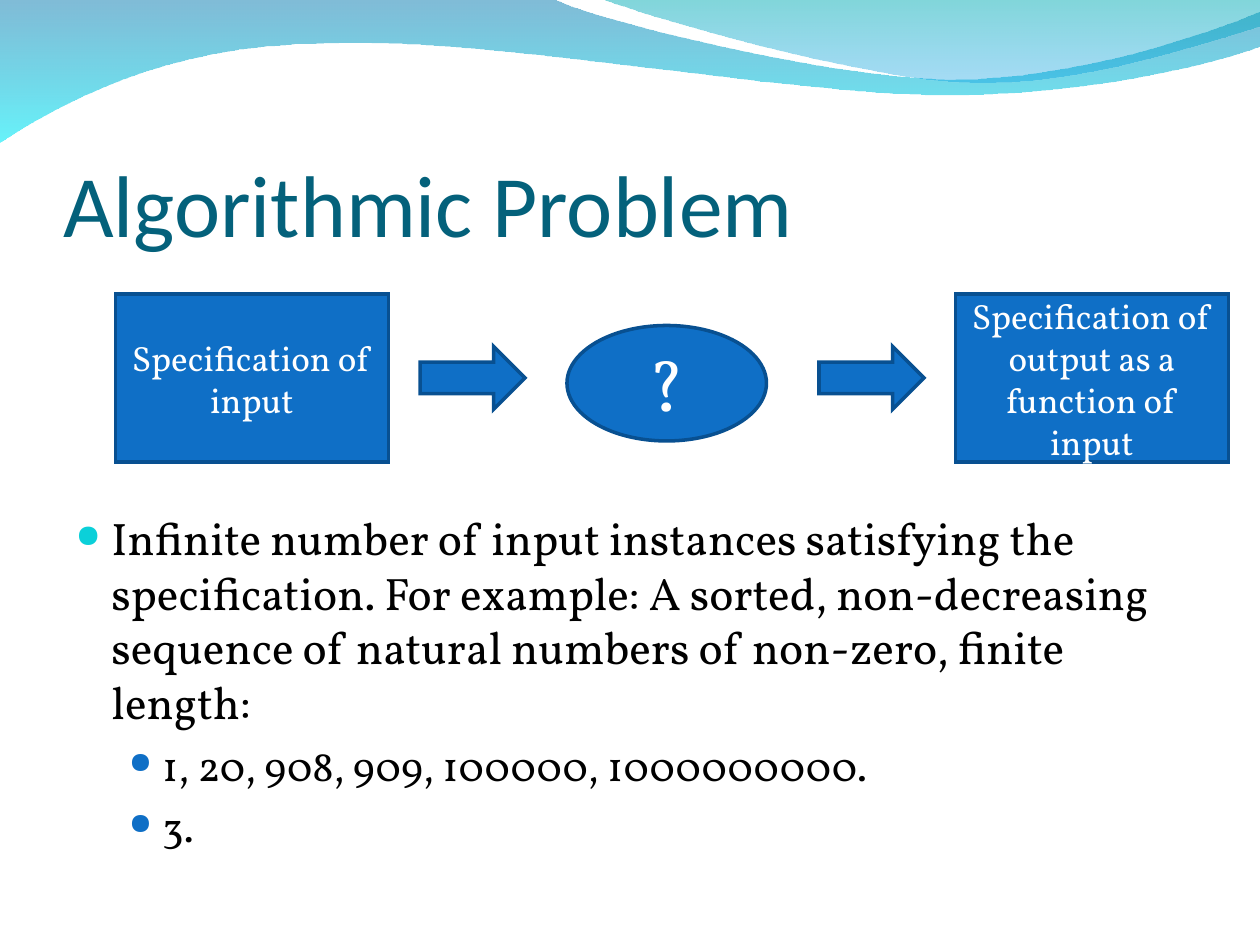
from lxml import etree
from pptx import Presentation
from pptx.dml.color import RGBColor
from pptx.enum.shapes import MSO_SHAPE
from pptx.enum.text import MSO_ANCHOR, MSO_AUTO_SIZE, PP_ALIGN
from pptx.oxml.ns import qn
from pptx.util import Pt

RECTANGLE, ARROW, OVAL = MSO_SHAPE.RECTANGLE, MSO_SHAPE.RIGHT_ARROW, MSO_SHAPE.OVAL
TOP, MIDDLE, BOTTOM = MSO_ANCHOR.TOP, MSO_ANCHOR.MIDDLE, MSO_ANCHOR.BOTTOM
LEFT, CENTER = PP_ALIGN.LEFT, PP_ALIGN.CENTER
HEADING_FONT, BODY_FONT = "Calibri", "Vollkorn"
BLUE, DARK_BLUE = "0F6FC6", "085091"

# Content
TITLE = "Algorithmic Problem"
BULLETS = [  # level, text
    (0, "Infinite number of input instances satisfying the specification. "
        "For example: A sorted, non-decreasing sequence of natural numbers "
        "of non-zero, finite length:"),
    (1, "1, 20, 908, 909, 100000, 1000000000."),
    (1, "3."),
]
LEVELS = [  # size, bullet colour, left margin, hanging indent, space before
    (26, "0BD0D9", 20.5, 20.5, 0),
    (24, BLUE, 49.5, 19, 6),
]
FLOW = [  # preset, left, width, height, centre line, text, text size
    (RECTANGLE, 66, 156, 96, 216, "Specification of input", 20),
    (ARROW, 240, 60, 36, 216, "", 20),
    (OVAL, 324, 114, 66, 219, "?", 40),
    (ARROW, 468, 60, 36, 216, "", 20),
    (RECTANGLE, 546, 156, 96, 216,
     "Specification of output as a function of input", 20),
]
# Header waves: a point is a straight line, three points are a Bezier curve
WAVES = [  # start, segments, gradient stops (colour, opacity in percent)
    ((0, -0.5),
     [[(317, -0.5)],
      [(343, 12), (478, 45), (546, 45)],
      [(614, 45), (690, 19), (720, 6.5)],
      [(720.5, 26)],
      [(708, 32), (626, 55), (537, 54)],
      [(448, 54), (275, 20), (185, 24.5)],
      [(93, 25), (33, 60), (-0.5, 81.5)]],
     [("0079AF", 50), ("00EBF8", 60)]),
    ((345, -0.5),
     [[(366, 8), (491, 45), (554, 47)],
      [(616, 50), (692, 23), (720, 15)],
      [(720, -0.5)]],
     [("00ADB6", 50), ("009BE5", 35)]),
]
UNITS_PER_POINT = 100


def color(value):
    return RGBColor.from_string(value)


def place(shape, left, top, width, height):
    shape.left, shape.top = Pt(left), Pt(top)
    shape.width, shape.height = Pt(width), Pt(height)


def format_frame(text_frame, anchor, side_inset):
    text_frame.word_wrap = True
    text_frame.auto_size = MSO_AUTO_SIZE.NONE
    text_frame.vertical_anchor = anchor
    text_frame.margin_left = text_frame.margin_right = Pt(side_inset)
    text_frame.margin_top = text_frame.margin_bottom = Pt(3.6)


def format_paragraph(paragraph, name, size, font_color, alignment, before=0):
    paragraph.alignment = alignment
    paragraph.space_before = Pt(before)
    for run in paragraph.runs:
        run.font.name, run.font.size = name, Pt(size)
        run.font.color.rgb = color(font_color)


def add_bullet(paragraph, bullet_color, margin, hanging):
    properties = paragraph._p.get_or_add_pPr()
    properties.set("marL", str(Pt(margin)))
    properties.set("indent", str(-Pt(hanging)))
    bullet_fill = etree.SubElement(properties, qn("a:buClr"))
    etree.SubElement(bullet_fill, qn("a:srgbClr"), val=bullet_color)
    etree.SubElement(properties, qn("a:buSzPct"), val="70000")
    etree.SubElement(properties, qn("a:buFont"), typeface="OpenSymbol")
    etree.SubElement(properties, qn("a:buChar"), char="●")


def bend_segments(shape, segments):
    """Join the three lines of each curved segment into one Bezier curve."""
    lines = iter(list(shape._element.spPr.iter(qn("a:lnTo"))))
    for segment in segments:
        group = [next(lines) for _ in segment]
        if len(group) == 3:
            curve = etree.Element(qn("a:cubicBezTo"))
            group[0].addprevious(curve)
            for line in group:
                curve.append(line[0])
                line.getparent().remove(line)


def add_wave(slide, start, segments, stops):
    points = [(x * UNITS_PER_POINT, y * UNITS_PER_POINT)
              for segment in [[start], *segments] for x, y in segment]
    builder = slide.shapes.build_freeform(*points[0], scale=Pt(1) / UNITS_PER_POINT)
    builder.add_line_segments(points[1:], close=True)
    wave = builder.convert_to_shape()
    bend_segments(wave, segments)
    wave.shadow.inherit = False
    wave.line.fill.background()
    wave.fill.gradient()
    wave.fill.gradient_angle = 270
    for stop, (stop_color, _) in zip(wave.fill.gradient_stops, stops):
        stop.color.rgb = color(stop_color)
    for element, (_, opacity) in zip(wave._element.spPr.iter(qn("a:srgbClr")), stops):
        etree.SubElement(element, qn("a:alpha"), val=str(opacity * 1000))
    return wave


presentation = Presentation()
presentation.slide_width, presentation.slide_height = Pt(720), Pt(540)
slide = presentation.slides.add_slide(presentation.slide_layouts[1])
title, body = slide.shapes.title, slide.placeholders[1]

# Header waves, behind the placeholders
for position, wave_data in enumerate(WAVES):
    wave = add_wave(slide, *wave_data)
    slide.shapes._spTree.insert(2 + position, wave._element)

# Title
place(title, 36, 55.5, 648, 90)
format_frame(title.text_frame, BOTTOM, 0)
title.text_frame.margin_bottom = 0
title.text_frame.text = TITLE
format_paragraph(title.text_frame.paragraphs[0], HEADING_FONT, 50, "04617B", LEFT)

# Bullet list
place(body, 36, 288, 648, 210)
format_frame(body.text_frame, TOP, 7.2)
body.text_frame.text = "\n".join(text for _, text in BULLETS)
for paragraph, (level, _) in zip(body.text_frame.paragraphs, BULLETS):
    size, bullet_color, margin, hanging, before = LEVELS[level]
    paragraph.level = level
    add_bullet(paragraph, bullet_color, margin, hanging)
    format_paragraph(paragraph, BODY_FONT, size, "000000", LEFT, before)

# Flow from input to output
for preset, left, width, height, middle, text, size in FLOW:
    shape = slide.shapes.add_shape(
        preset, Pt(left), Pt(middle - height / 2), Pt(width), Pt(height))
    shape.shadow.inherit = False
    shape.fill.solid()
    shape.fill.fore_color.rgb = color(BLUE)
    shape.line.color.rgb = color(DARK_BLUE)
    shape.line.width = Pt(2)
    etree.SubElement(shape._element.spPr.find(qn("a:ln")), qn("a:miter"), lim="800000")
    if text:
        format_frame(shape.text_frame, MIDDLE, 7.2)
        shape.text_frame.text = text
        format_paragraph(shape.text_frame.paragraphs[0], BODY_FONT, size, "FFFFFF", CENTER)

presentation.save("out.pptx")
